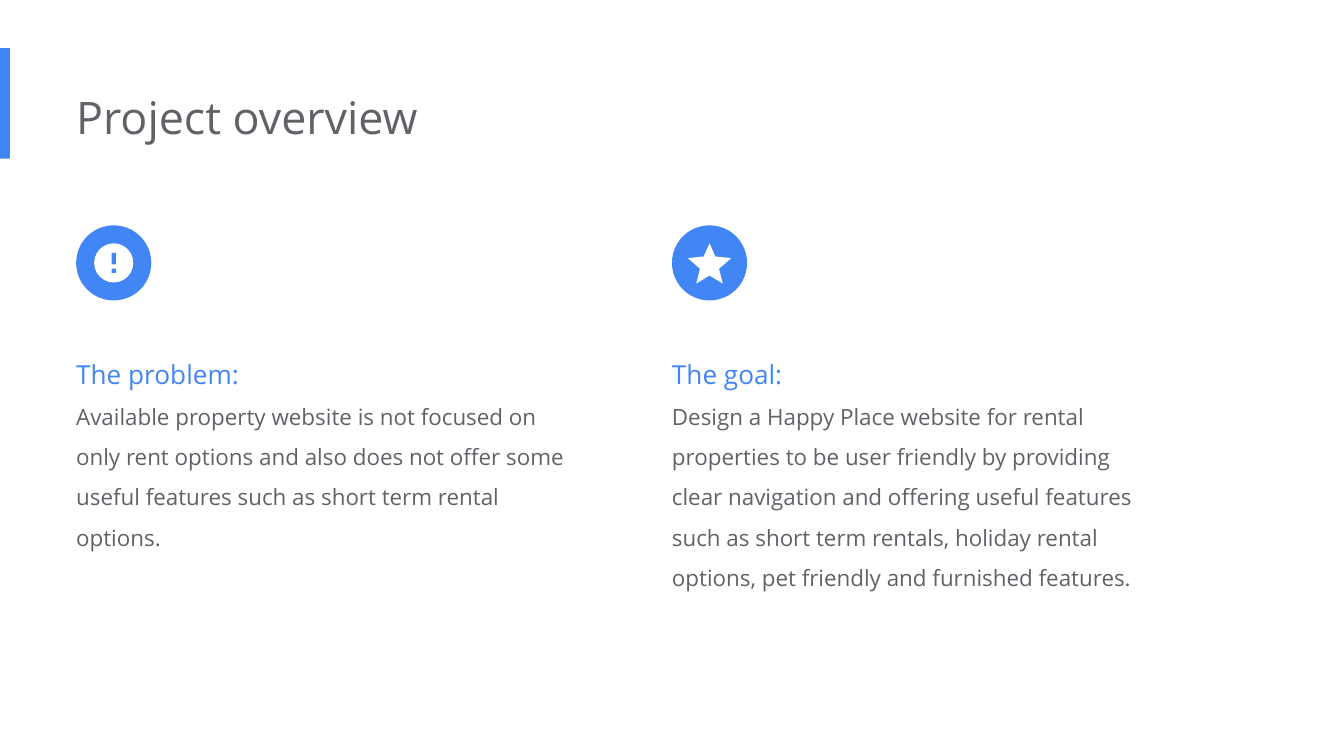
from pptx import Presentation
from pptx.dml.color import RGBColor
from pptx.enum.shapes import MSO_SHAPE as Preset
from pptx.enum.text import MSO_AUTO_SIZE as AutoSize
from pptx.util import Cm, Pt

BLUE, GREY, WHITE = "4285F4", "5F6368", "FFFFFF"
LEFT, RIGHT = 1.44, 12.7


def paint(part, color):
    part.shadow.inherit = False
    part.fill.solid()
    part.fill.fore_color.rgb = RGBColor.from_string(color)
    part.line.fill.background()


def add_text(left, top, width, height, lines, spacing):
    box = slide.shapes.add_textbox(Cm(left), Cm(top), Cm(width), Cm(height))
    frame = box.text_frame
    frame.word_wrap = True
    frame.auto_size = AutoSize.SHAPE_TO_FIT_TEXT
    frame.margin_left = 0
    frame.margin_top = frame.margin_right = frame.margin_bottom = Cm(0.25)
    frame.text = "\n".join(text for text, size, color in lines)
    for paragraph, (text, size, color) in zip(frame.paragraphs, lines):
        paragraph.line_spacing = spacing
        font = paragraph.runs[0].font
        font.name = "Open Sans"
        font.size = Pt(size)
        font.color.rgb = RGBColor.from_string(color)


deck = Presentation()
deck.slide_width, deck.slide_height = Cm(25.4), Cm(14.29)
slide = deck.slides.add_slide(deck.slide_layouts[6])

add_text(LEFT, 1.45, 17.1, 1.55, [("Project overview", 24, GREY)], 1.0)

columns = [
    (LEFT, 5.0, "The problem:",
     "Available property website is not focused on only rent options and also "
     "does not offer some useful features such as short term rental options."),
    (RIGHT, 5.77, "The goal:",
     "Design a Happy Place website for rental properties to be user friendly by "
     "providing clear navigation and offering useful features such as short term "
     "rentals, holiday rental options, pet friendly and furnished features."),
]
for left, height, heading, body in columns:
    add_text(left, 6.22, 9.58, height, [(heading, 14, BLUE), (body, 12, GREY)], 1.5)

solids = [
    (Preset.RECTANGLE, 0, 0.91, 0.19, 2.09, BLUE),
    (Preset.OVAL, LEFT, 4.26, 1.42, 1.42, BLUE),
    (Preset.OVAL, RIGHT, 4.26, 1.42, 1.42, BLUE),
    (Preset.OVAL, 1.78, 4.6, 0.74, 0.74, WHITE),
    (Preset.RECTANGLE, 2.11, 4.78, 0.08, 0.22, BLUE),
    (Preset.RECTANGLE, 2.11, 5.08, 0.08, 0.08, BLUE),
]
for preset, left, top, width, height, color in solids:
    paint(slide.shapes.add_shape(preset, Cm(left), Cm(top), Cm(width), Cm(height)), color)

star_center = RIGHT + 0.71
right_half = [(0, 4.6), (0.11, 4.85), (0.41, 4.88), (0.18, 5.08), (0.25, 5.36), (0, 5.21)]
left_half = [(-x, y) for x, y in right_half[-2:0:-1]]
star_points = [(Cm(star_center + x), Cm(y)) for x, y in right_half + left_half]
star = slide.shapes.build_freeform(*star_points[0])
star.add_line_segments(star_points[1:], close=True)
paint(star.convert_to_shape(), WHITE)

deck.save("out.pptx")
